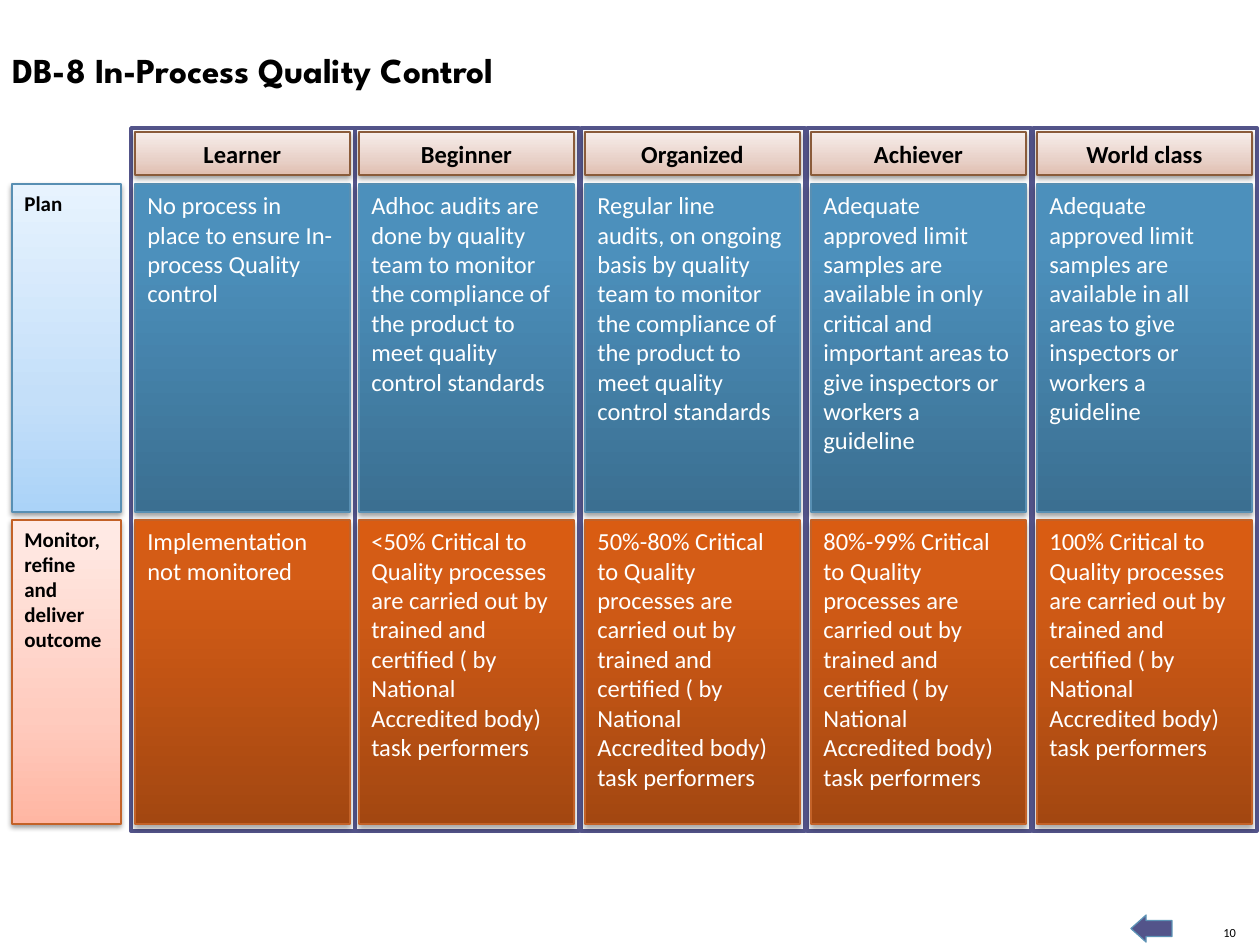
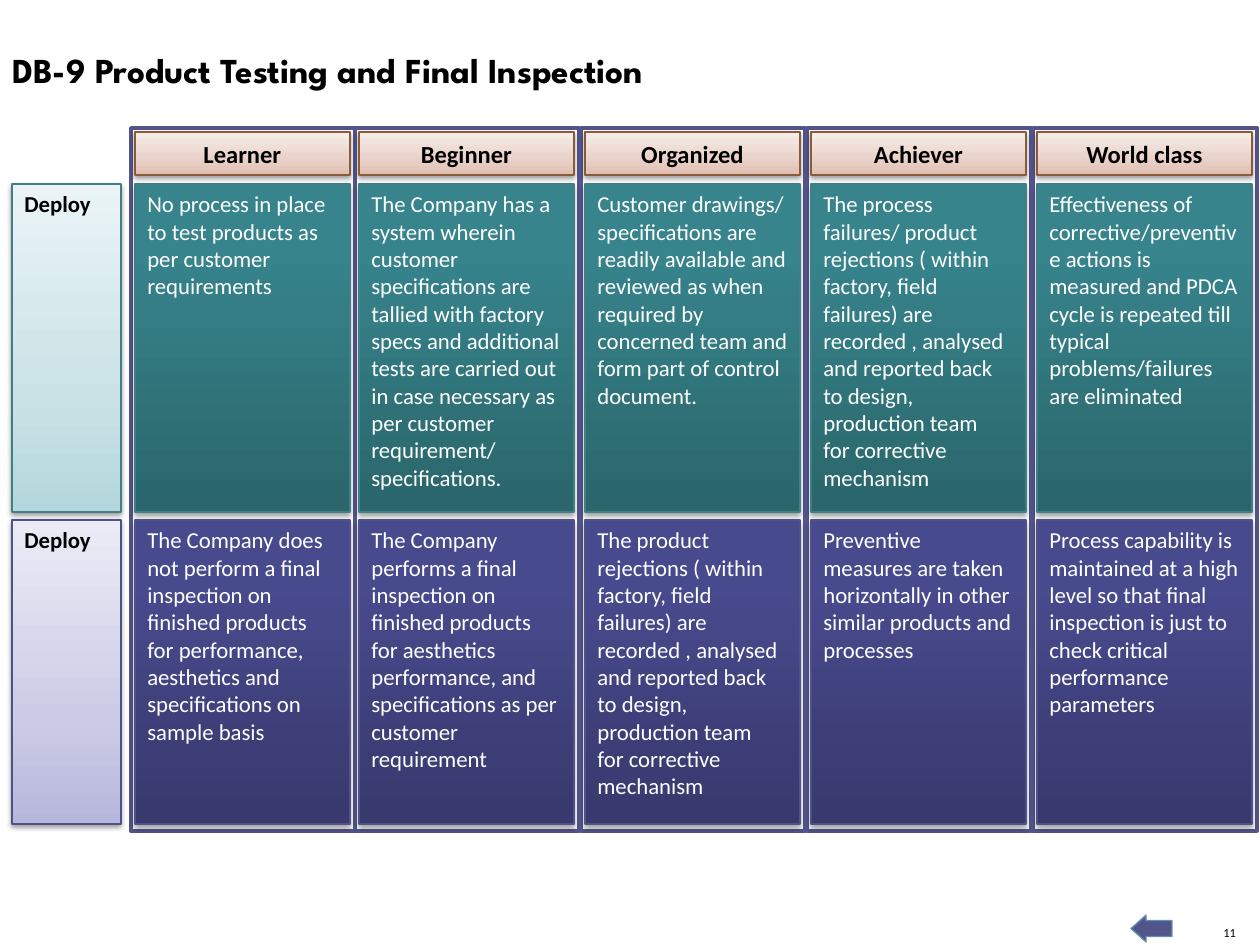
import pptx
import pptx.dml.color
import pptx.enum.shapes
import pptx.enum.text
import pptx.oxml.ns
import pptx.util
from lxml import etree

RGBColor = pptx.dml.color.RGBColor
RECTANGLE = pptx.enum.shapes.MSO_SHAPE.RECTANGLE
ALIGN = pptx.enum.text.PP_ALIGN
ANCHOR = pptx.enum.text.MSO_ANCHOR
qn = pptx.oxml.ns.qn

# Scale: the slide is 1260 x 945 px
PX = 914400 / 126

# Shared colours
BLACK = RGBColor(0x00, 0x00, 0x00)
WHITE = RGBColor(0xFF, 0xFF, 0xFF)
INDIGO = RGBColor(0x53, 0x54, 0x8A)
ARROW_LINE = RGBColor(0x5C, 0x92, 0xB5)
HEADER_LINE = RGBColor(0x8A, 0x5B, 0x3A)
BLUE_LINE = RGBColor(0x58, 0x8F, 0xB3)
ORANGE_LINE = RGBColor(0xC3, 0x62, 0x28)
TEAL_LINE = RGBColor(0x40, 0x7F, 0x85)
PURPLE_LINE = RGBColor(0x50, 0x51, 0x88)

# Gradient colours from bottom to top
HEADER_FILL = (RGBColor(0xE0, 0xBE, 0xB0), RGBColor(0xE8, 0xD1, 0xC8), RGBColor(0xF7, 0xED, 0xEA))
BLUE_PALE = (RGBColor(0xAB, 0xD3, 0xF8), RGBColor(0xC4, 0xDF, 0xF9), RGBColor(0xE7, 0xF3, 0xFE))
BLUE_DEEP = (RGBColor(0x3B, 0x6F, 0x91), RGBColor(0x4C, 0x90, 0xBC), RGBColor(0x4A, 0x91, 0xBF))
ORANGE_PALE = (RGBColor(0xFF, 0xB6, 0xA3), RGBColor(0xFF, 0xCB, 0xBE), RGBColor(0xFF, 0xEB, 0xE6))
ORANGE_DEEP = (RGBColor(0xA3, 0x47, 0x11), RGBColor(0xD4, 0x5C, 0x16), RGBColor(0xD9, 0x5C, 0x12))
TEAL_PALE = (RGBColor(0xB3, 0xD7, 0xDC), RGBColor(0xCA, 0xE2, 0xE6), RGBColor(0xEA, 0xF4, 0xF6))
TEAL_DEEP = (RGBColor(0x2A, 0x66, 0x6B), RGBColor(0x37, 0x84, 0x8C), RGBColor(0x36, 0x86, 0x8E))
PURPLE_PALE = (RGBColor(0xB6, 0xB7, 0xDC), RGBColor(0xCC, 0xCC, 0xE6), RGBColor(0xEB, 0xEB, 0xF6))
PURPLE_DEEP = (RGBColor(0x38, 0x39, 0x6D), RGBColor(0x48, 0x4A, 0x8E), RGBColor(0x47, 0x49, 0x90))

# Gradient middle stop (%), shadow opacity (%) and shadow distance (pt)
PALE_STYLE = (35, 38, 1.6)
DEEP_STYLE = (80, 35, 1.8)

# Grid
COLUMN_LEFTS = (131, 355, 581, 807, 1033)
CELL_INSET = 4
CELL_WIDTH = 215
LABEL_LEFT, LABEL_WIDTH = 12, 109
ROW_PLACES = ((184, 328), (520, 304))
LEVELS = ("Learner", "Beginner", "Organized", "Achiever", "World class")

# Each row: label, pale fill, deep fill, line, cell texts
SLIDES = (
    {
        "title": "DB-8 In-Process Quality Control",
        "number": "10", "label_size": 12, "cell_size": 14,
        "rows": (
            ("Plan", BLUE_PALE, BLUE_DEEP, BLUE_LINE, (
                "No process in place to ensure In-process Quality control",
                "Adhoc audits are done by quality team to monitor the compliance of the "
                "product to meet quality control standards",
                "Regular line audits, on ongoing basis by quality team to monitor the "
                "compliance of the product to meet quality control standards",
                "Adequate approved limit samples are available in only critical and "
                "important areas to give inspectors or workers a guideline",
                "Adequate approved limit samples are available in all areas to give "
                "inspectors or workers a guideline",
            )),
            ("Monitor, refine and deliver outcome", ORANGE_PALE, ORANGE_DEEP, ORANGE_LINE, (
                "Implementation not monitored",
                *(f"{share} Critical to Quality processes are carried out by trained and "
                  "certified ( by National Accredited body) task performers"
                  for share in ("<50%", "50%-80%", "80%-99%", "100%")),
            )),
        ),
    },
    {
        "title": "DB-9 Product Testing and Final Inspection",
        "number": "11", "label_size": 13, "cell_size": 13,
        "rows": (
            ("Deploy", TEAL_PALE, TEAL_DEEP, TEAL_LINE, (
                "No process in place to test products as per customer requirements",
                "The Company has a system wherein customer specifications are tallied with "
                "factory specs and additional tests are carried out in case necessary as "
                "per customer requirement/ specifications.",
                "Customer drawings/ specifications are readily available and reviewed as "
                "when required by concerned team and form part of control document.",
                "The process failures/ product rejections ( within factory, field failures) "
                "are recorded , analysed and reported back to design, production team  for "
                "corrective mechanism",
                "Effectiveness of corrective/preventive actions is measured and PDCA cycle "
                "is repeated till typical problems/failures are eliminated",
            )),
            ("Deploy", PURPLE_PALE, PURPLE_DEEP, PURPLE_LINE, (
                "The Company does not perform a final inspection on finished products for "
                "performance, aesthetics and specifications on sample basis",
                "The Company performs a final inspection on finished products for "
                "aesthetics performance, and specifications as per customer requirement",
                "The product rejections ( within factory, field failures) are recorded , "
                "analysed and reported back to design, production team  for corrective "
                "mechanism",
                "Preventive measures are taken horizontally in other similar products and "
                "processes",
                "Process capability is maintained at a high level so that final inspection "
                "is just to check critical performance parameters",
            )),
        ),
    },
)


def write_text(shape, text, size, color, bold=False, font="Calibri",
               align=ALIGN.LEFT, anchor=ANCHOR.TOP, wrap=True):
    frame = shape.text_frame
    frame.word_wrap = wrap
    frame.vertical_anchor = anchor
    paragraph = frame.paragraphs[0]
    paragraph.alignment = align
    run = paragraph.add_run()
    run.text = text
    run.font.name = font
    run.font.size = pptx.util.Pt(size)
    run.font.bold = bold
    run.font.color.rgb = color


def add_gradient_box(slide, place, colors, style, line_color):
    """Add a rectangle with a three-stop upward gradient and a soft shadow."""
    middle, opacity, distance = style
    shape = slide.shapes.add_shape(RECTANGLE, *(round(length * PX) for length in place))
    shape.line.color.rgb = line_color
    shape.line.width = pptx.util.Pt(0.75)
    shape.fill.gradient()
    shape.fill.gradient_angle = 90
    properties = shape._element.spPr
    stops = properties.find(".//" + qn("a:gsLst"))
    for stop in list(stops):
        stops.remove(stop)
    for position, color in zip((0, middle, 100), colors):
        stop = etree.SubElement(stops, qn("a:gs"), pos=str(position * 1000))
        etree.SubElement(stop, qn("a:srgbClr"), val=str(color))

    shape.shadow.inherit = False
    shadow = etree.SubElement(
        properties.find(qn("a:effectLst")), qn("a:outerShdw"),
        blurRad=str(pptx.util.Pt(3.1)), dist=str(pptx.util.Pt(distance)),
        dir="5400000", rotWithShape="0")
    shadow_color = etree.SubElement(shadow, qn("a:srgbClr"), val=str(BLACK))
    etree.SubElement(shadow_color, qn("a:alpha"), val=str(opacity * 1000))
    return shape


presentation = pptx.Presentation()
presentation.slide_width = round(1260 * PX)
presentation.slide_height = round(945 * PX)

for content in SLIDES:
    slide = presentation.slides.add_slide(presentation.slide_layouts[6])

    # Page number
    number = slide.shapes.add_textbox(*(round(length * PX) for length in (1221, 925, 15, 15)))
    number_frame = number.text_frame
    number_frame.margin_left = number_frame.margin_right = 0
    number_frame.margin_top = number_frame.margin_bottom = 0
    write_text(number, content["number"], 7.1, BLACK,
               align=ALIGN.RIGHT, anchor=ANCHOR.BOTTOM, wrap=False)

    # Back arrow
    arrow = slide.shapes.add_shape(
        pptx.enum.shapes.MSO_SHAPE.RIGHT_ARROW,
        *(round(length * PX) for length in (1131, 915, 41, 27)))
    arrow.rotation = 180
    arrow.adjustments[0] = 0.59
    arrow.adjustments[1] = 0.56
    arrow.shadow.inherit = False
    arrow.fill.solid()
    arrow.fill.fore_color.rgb = INDIGO
    arrow.line.color.rgb = ARROW_LINE
    arrow.line.width = pptx.util.Pt(0.75)

    # Title
    title = slide.shapes.add_textbox(*(round(length * PX) for length in (0, 42, 1084, 55)))
    write_text(title, content["title"], 20, BLACK, bold=True, font="League Spartan")

    # Row labels
    for (top, height), (label, pale, deep, line, texts) in zip(ROW_PLACES, content["rows"]):
        box = add_gradient_box(slide, (LABEL_LEFT, top, LABEL_WIDTH, height),
                               pale, PALE_STYLE, line)
        write_text(box, label, content["label_size"], BLACK, bold=True)

    # Column frames
    for left in COLUMN_LEFTS:
        column = slide.shapes.add_shape(
            RECTANGLE, *(round(length * PX) for length in (left, 128, 224, 703)))
        column.shadow.inherit = False
        column.fill.solid()
        column.fill.fore_color.rgb = WHITE
        column.line.color.rgb = INDIGO
        column.line.width = pptx.util.Pt(2)

    # Cells
    for (top, height), (label, pale, deep, line, texts) in zip(ROW_PLACES, content["rows"]):
        for left, text in zip(COLUMN_LEFTS, texts):
            cell = add_gradient_box(slide, (left + CELL_INSET, top, CELL_WIDTH, height),
                                    deep, DEEP_STYLE, line)
            write_text(cell, text, content["cell_size"], WHITE)

    # Column headers
    for left, level in zip(COLUMN_LEFTS, LEVELS):
        header = add_gradient_box(slide, (left + CELL_INSET, 132, CELL_WIDTH, 43),
                                  HEADER_FILL, PALE_STYLE, HEADER_LINE)
        write_text(header, level, 14, BLACK, bold=True,
                   align=ALIGN.CENTER, anchor=ANCHOR.MIDDLE)

presentation.save("out.pptx")
